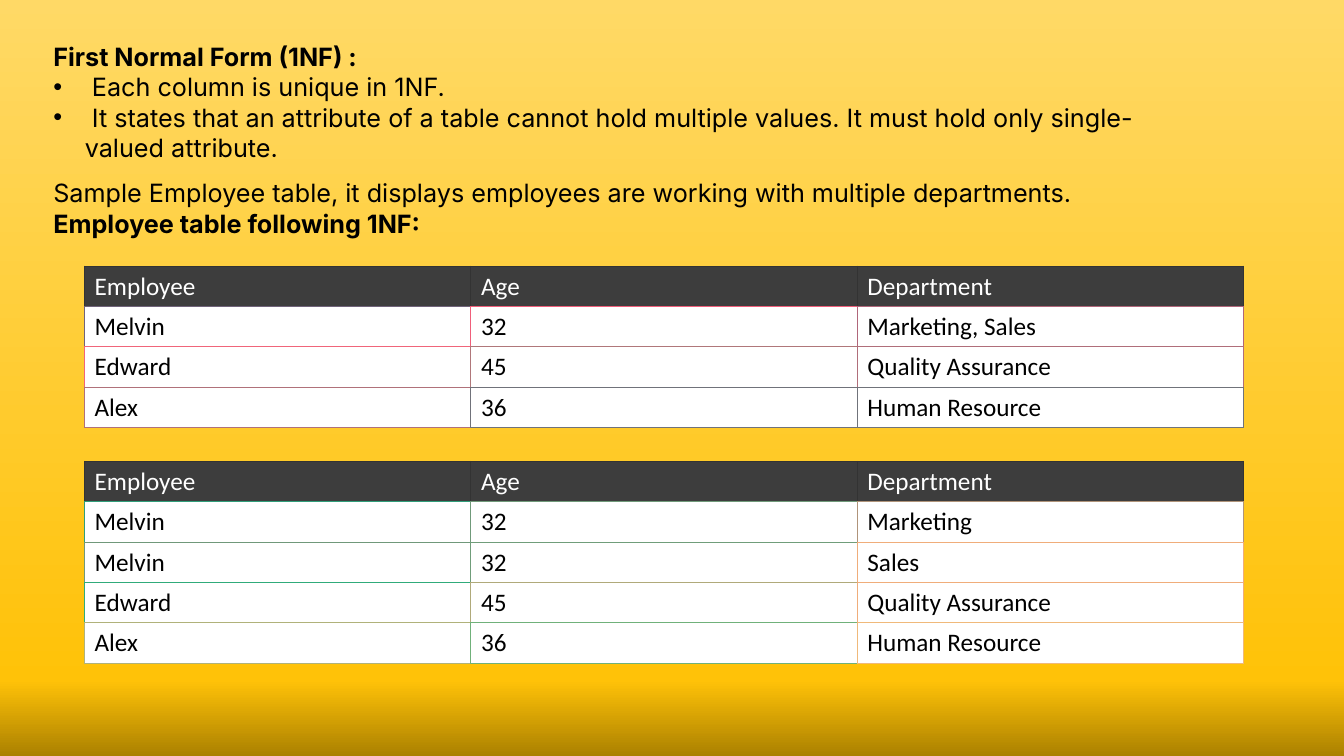
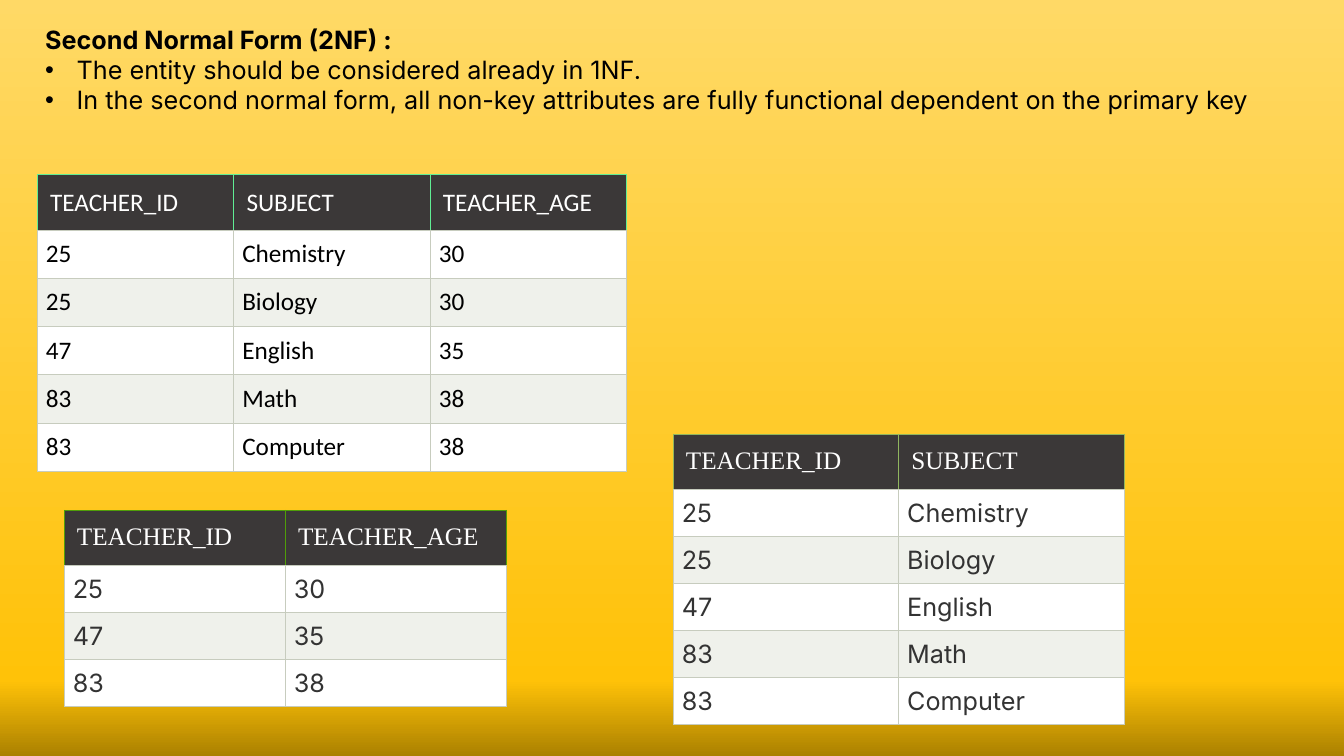
from dataclasses import dataclass
from typing import Optional

from lxml.etree import SubElement
from pptx import Presentation
from pptx.dml.color import RGBColor
from pptx.enum.dml import MSO_THEME_COLOR
from pptx.enum.text import MSO_ANCHOR, PP_ALIGN
from pptx.oxml.ns import qn
from pptx.util import Pt

BLACK = RGBColor(0x00, 0x00, 0x00)
WHITE = RGBColor(0xFF, 0xFF, 0xFF)
INK = RGBColor(0x33, 0x33, 0x33)
COAL = RGBColor(0x3D, 0x3D, 0x3D)
UMBER = RGBColor(0x3B, 0x38, 0x38)
PALE = RGBColor(0xEF, 0xF1, 0xEB)
SAGE = RGBColor(0xC7, 0xCC, 0xBE)
MINT = RGBColor(0x60, 0xED, 0x94)
LEAF = RGBColor(0x50, 0x9D, 0x08)
MOSS = RGBColor(0x90, 0xB6, 0x5F)
BRONZE = RGBColor(0xAB, 0x81, 0x00)
AMBER = RGBColor(0xFF, 0xC2, 0x08)
STRAW = RGBColor(0xFF, 0xD9, 0x66)

SIZE = Pt(18)
RULE = Pt(0.75)
HANG = Pt(22.5)
STOPS = ((0, BRONZE), (10, AMBER), (100, STRAW))


def tints(*rows: str) -> list[list[RGBColor]]:
    """Turn rows of hex codes into rows of colours."""
    return [[RGBColor.from_string(code) for code in row.split()] for row in rows]


MIXED = tints("333333 333333 333333", "70637A F05E7A B0667A",
              "F0657A B0777A B06E7A", "B0717A 70727A 70737A")
SINGLE = tints("333333 333333 333333", "309D7A 709A7A B0947A",
               "70987A 709D7A F0AD7A", "30AB7A B0AA7A F0AD7A",
               "B0B27A 70B17A F0B97A")


@dataclass(frozen=True)
class Box:
    """A place on the slide, in points."""
    left: float
    top: float
    width: float
    height: float

    def place(self) -> tuple[Pt, Pt, Pt, Pt]:
        """Give the four lengths that a new shape needs."""
        return Pt(self.left), Pt(self.top), Pt(self.width), Pt(self.height)


@dataclass(frozen=True)
class Line:
    """One paragraph of a text block."""
    text: str
    bold: bool = False
    dot: bool = False


@dataclass(frozen=True)
class Look:
    """How a table is dressed; pads are side and end margins."""
    head: RGBColor
    band: RGBColor
    ink: RGBColor
    title: str
    body: str
    heights: tuple[float, float]
    pads: tuple[tuple[float, float], tuple[float, float]]
    align: Optional[PP_ALIGN] = None


@dataclass(frozen=True)
class Grid:
    """A table: its place, its rows, its look and its border colours."""
    box: Box
    rows: list[tuple[str, ...]]
    look: Look
    edges: list[list[RGBColor]]


PLAIN = Look(COAL, WHITE, BLACK, "Calibri", "Calibri", (28.8, 28.8),
             ((7.2, 3.6), (7.2, 3.6)))
PADS = ((9, 9), (6, 6))
BANDED = Look(UMBER, PALE, BLACK, "Calibri", "Calibri", (40, 34.4), PADS)
SERIF = Look(UMBER, PALE, INK, "Times New Roman", "Inter", (39.4, 33.6),
             PADS, PP_ALIGN.JUSTIFY)


def paint(master) -> None:
    """Give all slides the gold gradient, dark at the foot."""
    fill = master.background.fill
    fill.gradient()
    fill.gradient_angle = 90
    stops = master.element.find(".//" + qn("a:gsLst"))
    stops.clear()
    for spot, tone in STOPS:
        stop = SubElement(stops, qn("a:gs"), pos=str(spot * 1000))
        SubElement(stop, qn("a:srgbClr"), val=str(tone))


def style(para, face: str, tone: RGBColor, bold: bool = False) -> None:
    """Format the runs of a paragraph."""
    for run in para.runs:
        font = run.font
        font.name, font.size, font.bold = face, SIZE, bold
        font.color.rgb = tone


def bullet(para) -> None:
    """Give a paragraph a dot and a hanging indent."""
    props = para._p.get_or_add_pPr()
    props.set("marL", str(HANG))
    props.set("indent", str(-HANG))
    SubElement(props, qn("a:buFont"), typeface="Arial")
    SubElement(props, qn("a:buChar"), char="•")


def write(slide, box: Box, lines: list[Line], inset: float = 3.6,
          anchor: MSO_ANCHOR = MSO_ANCHOR.TOP) -> None:
    """Add a text block."""
    frame = slide.shapes.add_textbox(*box.place()).text_frame
    frame.word_wrap = True
    frame.vertical_anchor = anchor
    frame.margin_top = frame.margin_bottom = Pt(inset)
    frame.text = "\n".join(line.text for line in lines)
    for para, line in zip(frame.paragraphs, lines):
        style(para, "Inter", BLACK, line.bold)
        if line.dot:
            bullet(para)


def border(cell, sides: dict[str, RGBColor]) -> None:
    """Draw the four borders of a cell."""
    props = cell._tc.get_or_add_tcPr()
    for side, tone in sides.items():
        line = SubElement(props, qn("a:ln" + side), w=str(RULE))
        fill = SubElement(line, qn("a:solidFill"))
        SubElement(fill, qn("a:srgbClr"), val=str(tone))


def dress(cell, text: str, row: int, look: Look) -> None:
    """Fill a cell and set its text."""
    head = row == 0
    cell.fill.solid()
    cell.fill.fore_color.rgb = (
        look.head if head else WHITE if row % 2 else look.band)
    side, end = look.pads[0 if head else 1]
    cell.margin_left = cell.margin_right = Pt(side)
    cell.margin_top = cell.margin_bottom = Pt(end)
    cell.text_frame.text = text
    para = cell.text_frame.paragraphs[0]
    style(para, look.title if head else look.body, WHITE if head else look.ink)
    if look.align and not head:
        para.alignment = look.align


def draw(slide, grid: Grid) -> None:
    """Add a table; each cell shares its right and lower border colours
    with the cells that follow."""
    tall, wide = len(grid.rows), len(grid.rows[0])
    table = slide.shapes.add_table(tall, wide, *grid.box.place()).table
    table.first_row = table.horz_banding = False
    for col in table.columns:
        col.width = Pt(grid.box.width / wide)
    for row, texts in enumerate(grid.rows):
        table.rows[row].height = Pt(grid.look.heights[min(row, 1)])
        for col, text in enumerate(texts):
            cell = table.cell(row, col)
            own = grid.edges[row][col]
            border(cell, {
                "L": own,
                "R": grid.edges[row][min(col + 1, wide - 1)],
                "T": own,
                "B": grid.edges[min(row + 1, tall - 1)][col],
            })
            dress(cell, text, row, grid.look)


def framed(box: Box, rows: list[tuple[str, ...]], look: Look,
           tone: RGBColor) -> Grid:
    """Make a table with sage borders and a header edged in one tone."""
    wide = len(rows[0])
    edges = [[tone] * wide] + [[SAGE] * wide for _ in rows[1:]]
    return Grid(box, rows, look, edges)


def first(slide) -> None:
    """Build the slide on the first normal form."""
    write(slide, Box(31, 26, 805, 181.4), [
        Line("First Normal Form (1NF) :", bold=True),
        Line(" Each column is unique in 1NF.", dot=True),
        Line(" It states that an attribute of a table cannot hold multiple "
             "values. It must hold only single-valued attribute.", dot=True),
    ])
    head = ("Employee", "Age", "Department")
    rest = [("Edward", "45", "Quality Assurance"),
            ("Alex", "36", "Human Resource")]
    draw(slide, Grid(Box(60.4, 190, 828, 115.2),
                     [head, ("Melvin", "32", "Marketing, Sales"), *rest],
                     PLAIN, MIXED))
    draw(slide, Grid(Box(60.4, 329.5, 828, 144),
                     [head, ("Melvin", "32", "Marketing"),
                      ("Melvin", "32", "Sales"), *rest],
                     PLAIN, SINGLE))
    write(slide, Box(31, 116.6, 846, 64), [
        Line("Sample Employee table, it displays employees are working with "
             "multiple departments."),
        Line("Employee table following 1NF:", bold=True),
    ], inset=10, anchor=MSO_ANCHOR.MIDDLE)


def second(slide) -> None:
    """Build the slide on the second normal form."""
    write(slide, Box(25.2, 13.7, 912.2, 116.6), [
        Line("Second Normal Form (2NF) :", bold=True),
        Line("The entity should be considered already in 1NF.", dot=True),
        Line("In the second normal form, all non-key attributes are fully "
             "functional dependent on the primary key", dot=True),
    ])
    staff = [("TEACHER_ID", "SUBJECT", "TEACHER_AGE"),
             ("25", "Chemistry", "30"), ("25", "Biology", "30"),
             ("47", "English", "35"), ("83", "Math", "38"),
             ("83", "Computer", "38")]
    ages = list(dict.fromkeys((key, age) for key, _, age in staff))
    topics = [(key, topic) for key, topic, _ in staff]
    draw(slide, framed(Box(26.8, 124.6, 421, 212), staff, BANDED, MINT))
    draw(slide, framed(Box(46, 364.5, 316, 140.2), ages, SERIF, LEAF))
    draw(slide, framed(Box(481, 310.2, 322, 207.4), topics, SERIF, MOSS))


def main() -> None:
    """Build and save the deck."""
    deck = Presentation()
    deck.slide_width, deck.slide_height = Pt(960), Pt(540)
    paint(deck.slide_master)
    blank = deck.slide_layouts[6]
    for build in (first, second):
        build(deck.slides.add_slide(blank))
    deck.save("out.pptx")


main()
